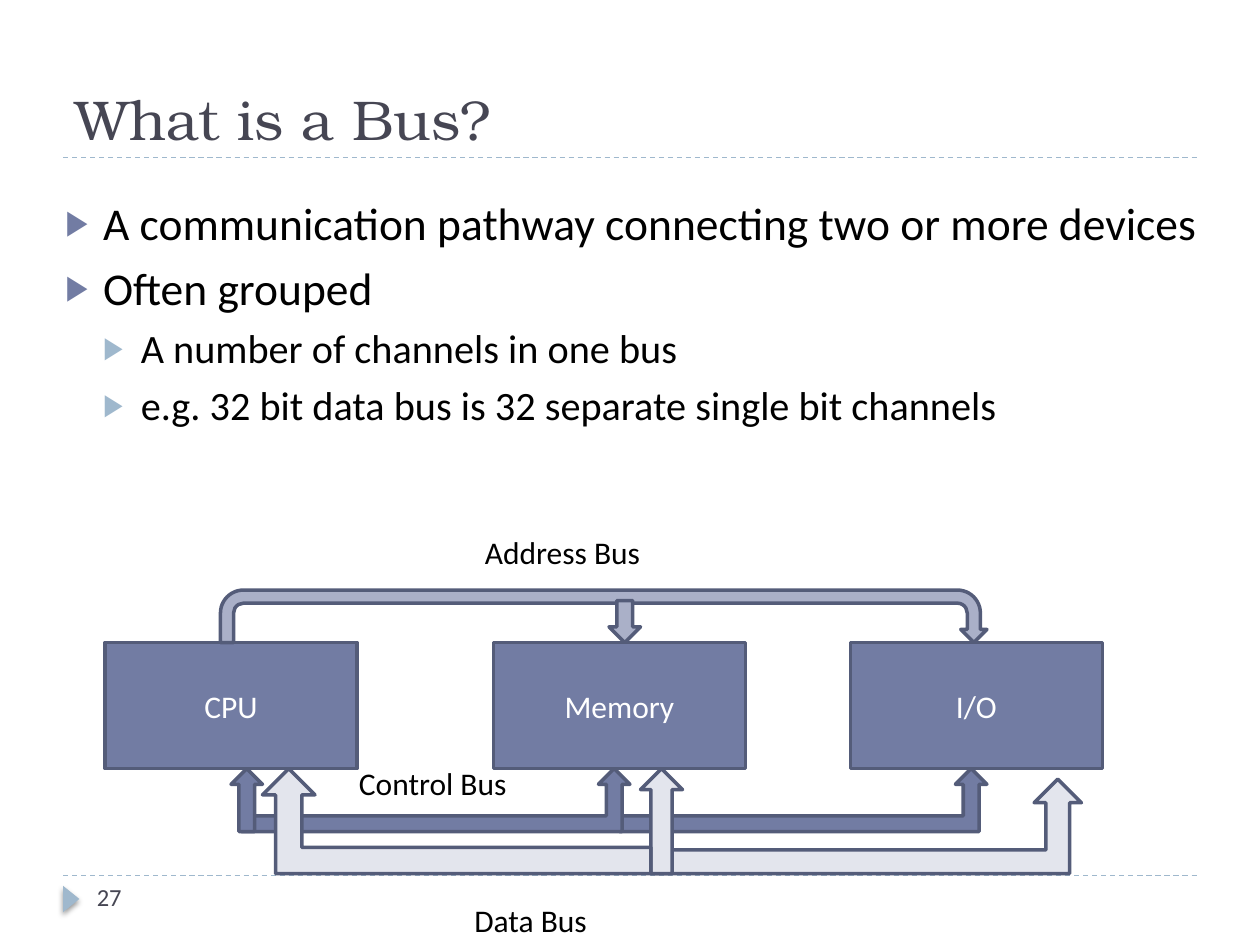
from dataclasses import dataclass

from lxml import etree
from pptx import Presentation, util as u
from pptx.dml.color import RGBColor
from pptx.enum import dml, shapes, text
from pptx.oxml import parse_xml
from pptx.oxml.ns import qn

W, H = 10, 7.5
CELL = 1 / 12        # diagram grid step, inches
DIAGRAM_TOP = 5.1    # row 0 of the grid: top of the boxes
BODY_FONT, TITLE_FONT = "Calibri", "TeX Gyre Bonum"
INK, SLATE, EDGE, SKY = "464653", "727CA3", "545C79", "9FB8CD"
ADDRESS, CONTROL, DATA = "AAB0C8", SLATE, "E3E5ED"
BENT, UP = shapes.MSO_SHAPE.BENT_UP_ARROW, shapes.MSO_SHAPE.UP_ARROW
QUARTERS, HALVES = (0.25,) * 3, (0.5,) * 2
SHADOW = ('<a:effectLst xmlns:a="http://schemas.openxmlformats.org/drawingml/2006/main">'
          '<a:outerShdw blurRad="38100" dist="25400" dir="5400000" rotWithShape="0">'
          '<a:srgbClr val="000000"><a:alpha val="40000"/></a:srgbClr>'
          '</a:outerShdw></a:effectLst>')


@dataclass
class Block:
    """A shape on the diagram grid, in columns and rows."""
    kind: shapes.MSO_SHAPE
    col: float
    row: float
    cols: float
    rows: float
    fill: str
    adj: tuple = ()
    label: str = ""
    flip: bool = False


@dataclass
class Label:
    words: str
    col: float
    row: float
    cols: float


@dataclass
class Level:
    size: int
    indent: float
    before: int
    bullet: str


LEVELS = [Level(26, 0.3, 6, SLATE), Level(23, 0.6, 5, SKY)]
BULLETS = [
    (0, "A communication pathway connecting two or more devices"),
    (0, "Often grouped"),
    (1, "A number of channels in one bus"),
    (1, "e.g. 32 bit data bus is 32 separate single bit channels"),
]
DIAGRAM = [
    *(Block(shapes.MSO_SHAPE.RECTANGLE, col, 0, 24, 12, SLATE, label=name)
      for col, name in ((10, "CPU"), (47, "Memory"), (81, "I/O"))),
    Block(shapes.MSO_SHAPE.U_TURN_ARROW, 21, -5, 73, 5, ADDRESS, (0.25, 0.25, 0.25, 0.438, 1)),
    Block(shapes.MSO_SHAPE.DOWN_ARROW, 58, -4, 3, 4, ADDRESS, HALVES),
    Label("Address Bus", 45, -11, 31),
    Block(BENT, 59, 12, 35, 6, CONTROL, QUARTERS),
    Block(BENT, 23, 12, 37, 6, CONTROL, QUARTERS),
    Block(UP, 22, 12, 3, 6, CONTROL, HALVES),
    Label("Control Bus", 33, 11, 34),
    Label("Data Bus", 44, 24, 34),
    Block(BENT, 62, 13, 41, 9, DATA, QUARTERS),
    Block(UP, 61, 12, 4, 10, DATA, HALVES),
    Block(BENT, 25, 12, 37, 10, DATA, QUARTERS, flip=True),
]


def rgb(value: str) -> RGBColor:
    return RGBColor.from_string(value)


def inches(*lengths: float) -> list:
    return [u.Inches(v) for v in lengths]


def grid(col: float, row: float, cols: float, rows: float) -> list:
    return inches(col * CELL, DIAGRAM_TOP + row * CELL, cols * CELL, rows * CELL)


def add_run(p, words: str, size: float, color: str, font: str = BODY_FONT) -> None:
    r = p.add_run()
    r.text = words
    for name, value in {"size": u.Pt(size), "name": font}.items():
        setattr(r.font, name, value)
    r.font.color.rgb = rgb(color)


def add_text_box(s, box: list, anchor=text.MSO_ANCHOR.TOP):
    tf = s.shapes.add_textbox(*box).text_frame
    tf.word_wrap = True
    tf.vertical_anchor = anchor
    return tf


def add_bullet(p, level: Level) -> None:
    pr = p._p.get_or_add_pPr()
    pr.set("marL", str(u.Inches(level.indent)))
    pr.set("indent", str(-u.Inches(0.3)))
    color = etree.SubElement(pr, qn("a:buClr"))
    etree.SubElement(color, qn("a:srgbClr"), val=level.bullet)
    etree.SubElement(pr, qn("a:buSzPct"), val="76000")
    etree.SubElement(pr, qn("a:buFont"), typeface="Arial")
    etree.SubElement(pr, qn("a:buChar"), char="▶")


def add_body(s) -> None:
    tf = add_text_box(s, inches(0.42, 1.5, 9.3, 2.5))
    for i, (depth, words) in enumerate(BULLETS):
        p = tf.add_paragraph() if i else tf.paragraphs[0]
        level = LEVELS[depth]
        for name, value in {"level": depth, "alignment": text.PP_ALIGN.JUSTIFY,
                            "space_before": u.Pt(level.before)}.items():
            setattr(p, name, value)
        add_bullet(p, level)
        add_run(p, words, level.size, "000000")


def add_rule(s, y: float) -> None:
    line = s.shapes.add_connector(shapes.MSO_CONNECTOR.STRAIGHT,
                                  *inches(0.05 * W, y, 0.95 * W, y))
    line.line.color.rgb = rgb(SKY)
    line.line.width = u.Pt(0.75)
    line.line.dash_style = dml.MSO_LINE.DASH
    etree.SubElement(line._element.spPr, qn("a:effectLst"))


def add_page_marker(s) -> None:
    sp = s.shapes.add_shape(shapes.MSO_SHAPE.ISOSCELES_TRIANGLE, *inches(0.46, 7.07, 0.21, 0.13))
    sp.rotation = 90
    sp.fill.solid()
    sp.fill.fore_color.rgb = rgb(SKY)
    sp.line.fill.background()
    sp._element.spPr.append(parse_xml(SHADOW))


def add_block(s, b: Block) -> None:
    sp = s.shapes.add_shape(b.kind, *grid(b.col, b.row, b.cols, b.rows))
    sp.shadow.inherit = False
    for i, value in enumerate(b.adj):
        sp.adjustments[i] = value
    sp.fill.solid()
    sp.fill.fore_color.rgb = rgb(b.fill)
    sp.line.color.rgb = rgb(EDGE)
    sp.line.width = u.Pt(2)
    if b.flip:
        sp._element.spPr.xfrm.set("flipH", "1")
    if b.label:
        sp.text_frame.vertical_anchor = text.MSO_ANCHOR.MIDDLE
        p = sp.text_frame.paragraphs[0]
        p.alignment = text.PP_ALIGN.CENTER
        add_run(p, b.label, 18, "FFFFFF")


def add_label(s, label: Label) -> None:
    tf = add_text_box(s, grid(label.col, label.row, label.cols, 4.8))
    tf.auto_size = text.MSO_AUTO_SIZE.SHAPE_TO_FIT_TEXT
    add_run(tf.paragraphs[0], label.words, 18, "000000")


def main() -> None:
    prs = Presentation()
    prs.slide_width, prs.slide_height = inches(W, H)
    s = prs.slides.add_slide(prs.slide_layouts[6])
    for y in (6.95, 1.25):
        add_rule(s, y)
    add_page_marker(s)
    title = add_text_box(s, inches(0.5, 0.17, 9, 1.08), text.MSO_ANCHOR.BOTTOM)
    add_run(title.paragraphs[0], "What is a Bus?", 32, INK, TITLE_FONT)
    add_body(s)
    number = add_text_box(s, inches(0.67, 6.95, 2.17, 0.4))
    add_run(number.paragraphs[0], "27", 14, INK)
    for item in DIAGRAM:
        if isinstance(item, Block):
            add_block(s, item)
        else:
            add_label(s, item)
    prs.save("out.pptx")


if __name__ == "__main__":
    main()
